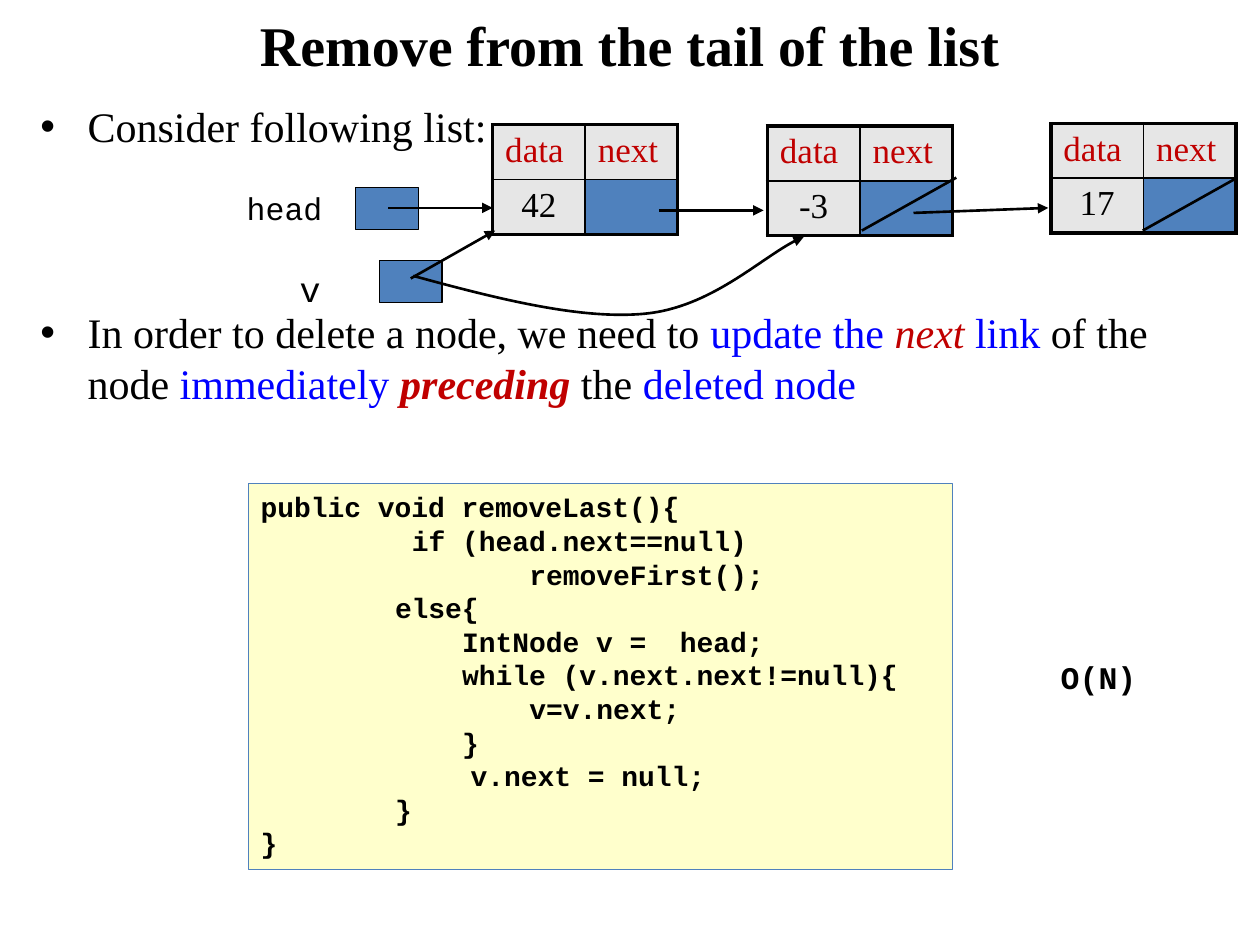
from lxml import etree
from pptx import Presentation
from pptx.dml.color import RGBColor
from pptx.enum.shapes import MSO_CONNECTOR as CONN, MSO_SHAPE as SHAPE
from pptx.enum.text import MSO_ANCHOR as ANCHOR, PP_ALIGN as ALIGN
from pptx.oxml import parse_xml
from pptx.oxml.ns import nsdecls, qn
from pptx.util import Inches, Pt

COLORS = {
    "black": "000000", "white": "FFFFFF", "blue": "0000FF", "red": "C00000",
    "node": "4F81BD", "cell": "E6E6E6", "code": "FFFFCC",
}
SERIF, MONO = "Times New Roman", "Courier New"
COLS, ROWS = 100, 75


def rgb(name):
    return RGBColor.from_string(COLORS[name])


def add_text(p, text, size=24, font=SERIF, color="black", bold=False, italic=False):
    r = p.add_run()
    r.text = text
    r.font.size, r.font.name = Pt(size), font
    r.font.bold, r.font.italic = bold, italic
    r.font.color.rgb = rgb(color)
    return r


class Deck:
    def __init__(self):
        self.prs = Presentation()
        self.prs.slide_width, self.prs.slide_height = Inches(10), Inches(7.5)
        self.s = self.prs.slides.add_slide(self.prs.slide_layouts[1])
        self.s.background.fill.solid()
        self.s.background.fill.fore_color.rgb = rgb("white")

    def x(self, cols):
        return int(self.prs.slide_width * cols / COLS)

    def y(self, rows):
        return int(self.prs.slide_height * rows / ROWS)

    def box(self, left, top, width, height):
        return self.x(left), self.y(top), self.x(width), self.y(height)

    def place(self, sp, *box):
        sp.left, sp.top, sp.width, sp.height = self.box(*box)
        return sp.text_frame

    def title(self, text, *box):
        tf = self.place(self.s.shapes.title, *box)
        tf.vertical_anchor = ANCHOR.MIDDLE
        tf.paragraphs[0].alignment = ALIGN.CENTER
        add_text(tf.paragraphs[0], text, size=32, bold=True)

    def bullets(self, items, gap, *box):
        tf = self.place(self.s.placeholders[1], *box)
        for i, runs in enumerate(items):
            p = tf.add_paragraph() if i else tf.paragraphs[0]
            p.space_before = Pt(gap if i else 5)
            for text, fmt in runs:
                add_text(p, text, **fmt)

    def rect(self, *box, fill="node", line="black"):
        sp = self.s.shapes.add_shape(SHAPE.RECTANGLE, *self.box(*box))
        sp.shadow.inherit = False
        sp.fill.solid()
        sp.fill.fore_color.rgb = rgb(fill)
        sp.line.color.rgb, sp.line.width = rgb(line), Pt(0.75)
        return sp

    def label(self, text, *box, **fmt):
        tf = self.s.shapes.add_textbox(*self.box(*box)).text_frame
        tf.word_wrap = True
        add_text(tf.paragraphs[0], text, font=MONO, **fmt)

    def code(self, lines, size, *box):
        tf = self.rect(*box, fill="code", line="node").text_frame
        tf.word_wrap, tf.vertical_anchor = True, ANCHOR.TOP
        for i, (chars, text) in enumerate(lines):
            p = tf.add_paragraph() if i else tf.paragraphs[0]
            p.alignment = ALIGN.LEFT
            p._p.get_or_add_pPr().set("marL", str(Pt(chars * size * 0.6)))
            add_text(p, text, size=size, font=MONO, bold=True)

    def stroke(self, sp, arrow):
        sp.line.color.rgb, sp.line.width = rgb("black"), Pt(1.5)
        if arrow:
            etree.SubElement(sp.line._get_or_add_ln(), qn("a:tailEnd"), type="triangle")

    def line(self, x1, y1, x2, y2, arrow=True):
        c = self.s.shapes.add_connector(
            CONN.STRAIGHT, self.x(x1), self.y(y1), self.x(x2), self.y(y2))
        self.stroke(c, arrow)
        etree.SubElement(c._element.spPr, qn("a:effectLst"))

    def curve(self, start, *points):
        pts = [(self.x(a), self.y(b)) for a, b in points]
        fb = self.s.shapes.build_freeform(self.x(start[0]), self.y(start[1]))
        sp = fb.add_line_segments(pts, close=False).convert_to_shape()
        sp.shadow.inherit = False
        sp.fill.background()
        self.stroke(sp, True)
        segments = list(sp._element.iter(qn("a:lnTo")))
        for i in range(0, len(segments), 3):
            bezier = etree.Element(qn("a:cubicBezTo"))
            segments[i].addprevious(bezier)
            for segment in segments[i:i + 3]:
                bezier.append(segment[0])
                segment.getparent().remove(segment)

    def borders(self, cell, **widths):
        tcPr = cell._tc.get_or_add_tcPr()
        for i, side in enumerate("LRTB"):
            tcPr.insert(i, parse_xml(
                f'<a:ln{side} {nsdecls("a")} w="{Pt(widths[side])}"><a:solidFill>'
                f'<a:srgbClr val="{COLORS["black"]}"/></a:solidFill></a:ln{side}>'))

    def node(self, value, left, top):
        table = self.s.shapes.add_table(2, 2, *self.box(left, top, 14.7, 8.7)).table
        table.first_row = table.horz_banding = False
        outer, inner = 2.25, 1
        for row, texts in enumerate((("data", "next"), (value, ""))):
            for col, text in enumerate(texts):
                cell = table.cell(row, col)
                cell.fill.solid()
                cell.fill.fore_color.rgb = rgb("cell" if text else "node")
                self.borders(cell, L=inner if col else outer, R=outer if col else inner,
                             T=inner if row else outer, B=outer if row else inner)
                if text:
                    p = cell.text_frame.paragraphs[0]
                    p.alignment = ALIGN.CENTER if row else ALIGN.LEFT
                    add_text(p, text, size=20, color="black" if row else "red")


def main():
    d = Deck()
    blue, red = {"color": "blue"}, {"color": "red", "italic": True}
    d.title("Remove from the tail of the list", 0, 0, 100, 7)
    d.bullets([
        [("Consider following list:", {})],
        [("In order to delete a node, we need to ", {}), ("update the ", blue),
         ("next ", red), ("link", blue), (" of the node ", {}),
         ("immediately ", blue), ("preceding ", {**red, "bold": True}),
         ("the ", {}), ("deleted node", blue)],
    ], 89, 2.2, 7.5, 96.2, 23.3)

    for value, left, top in (("42", 39.1, 9.9), ("-3", 60.9, 10), ("17", 83.4, 9.8)):
        d.node(value, left, top)
    for left, top in ((28.2, 14.9), (30.1, 20.7)):
        d.rect(left, top, 5, 3.3)
    d.label("head", 18.6, 14.5, 10.8, 4, size=18)
    d.label("v", 22.8, 20.7, 5.8, 4.4, size=20)

    for ends in ((30.8, 16.5, 39.1, 16.5), (52.3, 16.7, 60.6, 16.7),
                 (72.5, 16.9, 83.2, 16.5), (32.6, 22.1, 39.3, 18.3)):
        d.line(*ends)
    for right in (75.9, 98.2):
        d.line(right, 14.1, right - 7.5, 18.3, arrow=False)
    d.curve((32.8, 21.9), (39.4, 23.7), (46.1, 25.4), (51.2, 24.9),
            (56.4, 24.4), (61, 19.9), (63.8, 18.8))

    d.code([
        (0, "public void removeLast(){"),
        (9, "if (head.next==null)"),
        (16, "removeFirst();"),
        (8, "else{"),
        (12, "IntNode v =  head;"),
        (12, "while (v.next.next!=null){"),
        (16, "v=v.next;"),
        (12, "}"),
        (12.5, "v.next = null;"),
        (8, "}"),
        (0, "}"),
    ], 16, 19.7, 38.4, 55.9, 30.6)
    d.label("O(N)", 83.2, 51.7, 10.8, 4, size=18, bold=True)
    d.prs.save("out.pptx")


if __name__ == "__main__":
    main()
